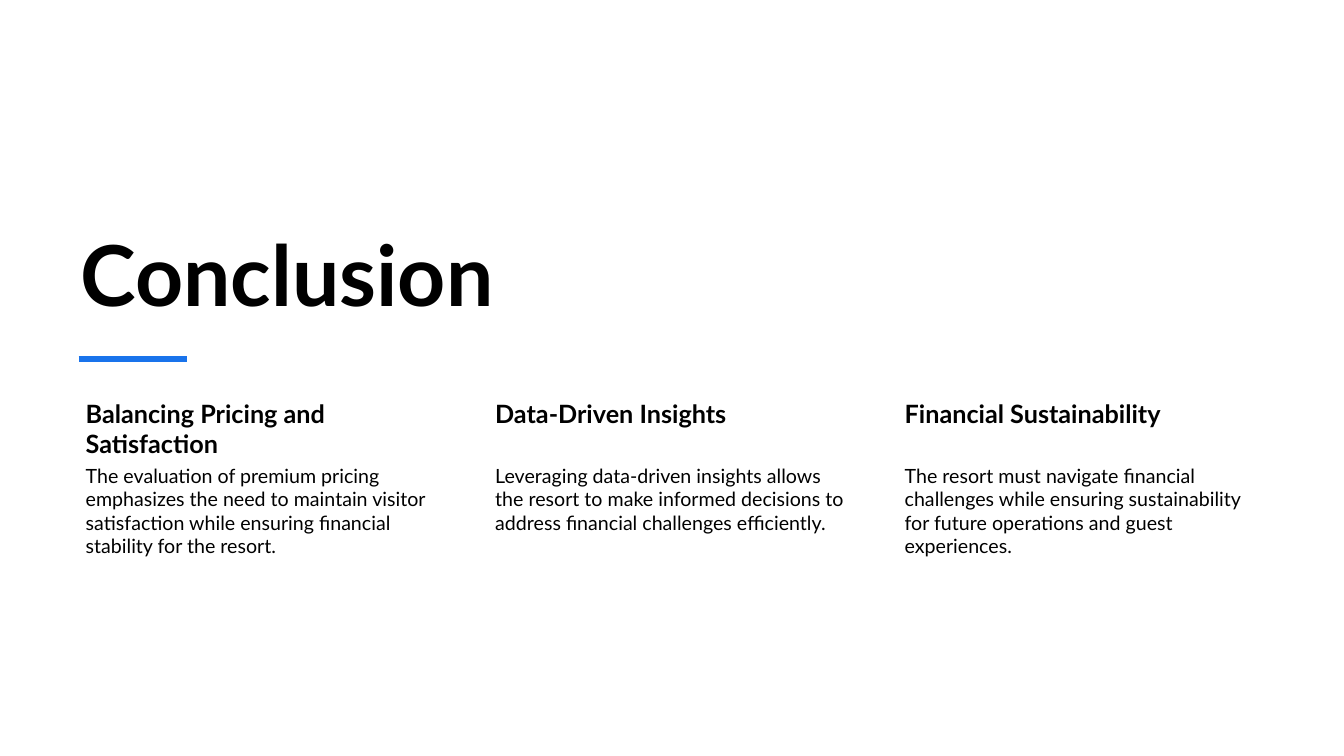
"""Build the closing slide with three takeaways."""
from lxml import etree
from pptx import Presentation
from pptx.dml.color import RGBColor
from pptx.enum import shapes, text
from pptx.oxml import ns
from pptx.util import Pt

COLORS = {"background": "FFFFFF", "text": "000000", "accent": "1973EB"}
FONT = "Lato"
SLIDE_WIDTH, SLIDE_HEIGHT = 960, 540
LEFT, COLUMN_STEP, COLUMN_WIDTH = 50.4, 292.5, 265.7
HEADING_TOP, HEADING_HEIGHT, BODY_HEIGHT = 283.2, 46.6, 149
TAKEAWAYS = [
    ("Balancing Pricing and Satisfaction",
     "The evaluation of premium pricing emphasizes the need to maintain visitor "
     "satisfaction while ensuring financial stability for the resort."),
    ("Data-Driven Insights",
     "Leveraging data-driven insights allows the resort to make informed decisions "
     "to address financial challenges efficiently."),
    ("Financial Sustainability",
     "The resort must navigate financial challenges while ensuring sustainability "
     "for future operations and guest experiences."),
]


def rgb(name):
    return RGBColor.from_string(COLORS[name])


def add_backdrop(s):
    sp = s.shapes.add_shape(
        shapes.MSO_SHAPE.RECTANGLE, 0, 0, Pt(SLIDE_WIDTH), Pt(SLIDE_HEIGHT))
    sp.shadow.inherit = False
    sp.fill.solid()
    sp.fill.fore_color.rgb = rgb("background")
    sp.line.fill.background()
    s.shapes.title._element.addprevious(sp._element)


def set_text(sp, content, size, bold, insets, anchor):
    tf = sp.text_frame
    tf.text = content
    tf.word_wrap = True
    tf.auto_size = text.MSO_AUTO_SIZE.NONE
    tf.vertical_anchor = anchor
    tf.margin_left, tf.margin_top, tf.margin_right, tf.margin_bottom = map(Pt, insets)
    p = tf.paragraphs[0]
    p.alignment = text.PP_ALIGN.LEFT
    font = p.runs[0].font
    font.name, font.size, font.bold = FONT, Pt(size), bold
    font.color.rgb = rgb("text")


def add_title(s, content):
    sp = s.shapes.title
    sp.left, sp.top, sp.width, sp.height = Pt(LEFT), Pt(123.8), Pt(643), Pt(110.9)
    set_text(sp, content, 60, True, (7.2, 3.6, 7.2, 3.6), text.MSO_ANCHOR.BOTTOM)


def add_text(s, content, left, top, height, size, bold=False):
    sp = s.shapes.add_textbox(Pt(left), Pt(top), Pt(COLUMN_WIDTH), Pt(height))
    set_text(sp, content, size, bold, (10.8, 1.44, 1.44, 1.44), text.MSO_ANCHOR.TOP)


def add_takeaway(s, left, heading, body):
    add_text(s, heading, left, HEADING_TOP, HEADING_HEIGHT, 18, bold=True)
    add_text(s, body, left, HEADING_TOP + HEADING_HEIGHT, BODY_HEIGHT, 14)


def add_accent_line(s, left, right, y):
    line = s.shapes.add_connector(
        shapes.MSO_CONNECTOR.STRAIGHT, Pt(left), Pt(y), Pt(right), Pt(y))
    line.line.color.rgb = rgb("accent")
    line.line.width = Pt(4.5)
    etree.SubElement(line._element.spPr, ns.qn("a:effectLst"))


def main():
    prs = Presentation()
    prs.slide_width, prs.slide_height = Pt(SLIDE_WIDTH), Pt(SLIDE_HEIGHT)
    s = prs.slides.add_slide(prs.slide_layouts[5])
    add_backdrop(s)
    add_title(s, "Conclusion")
    for i, (heading, body) in enumerate(TAKEAWAYS):
        add_takeaway(s, LEFT + i * COLUMN_STEP, heading, body)
    add_accent_line(s, 56.2, 133.5, 256.3)
    prs.save("out.pptx")


if __name__ == "__main__":
    main()
